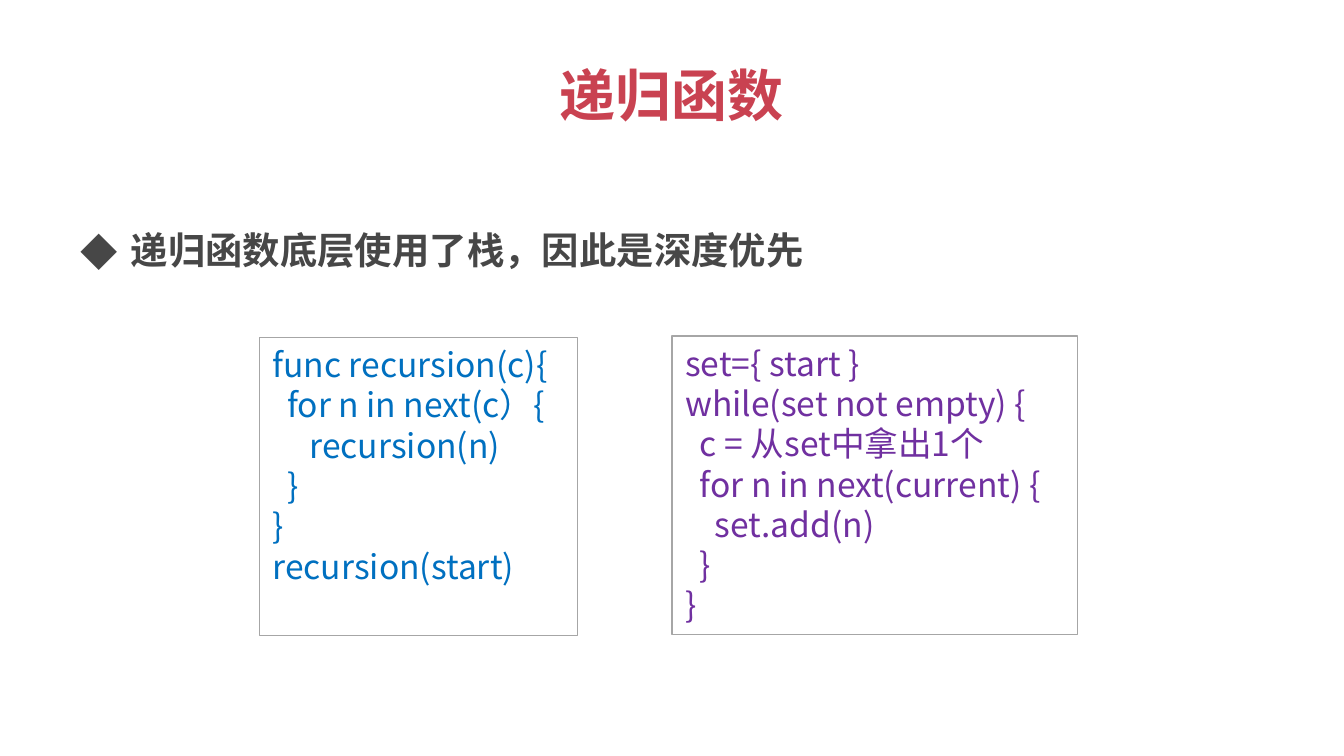
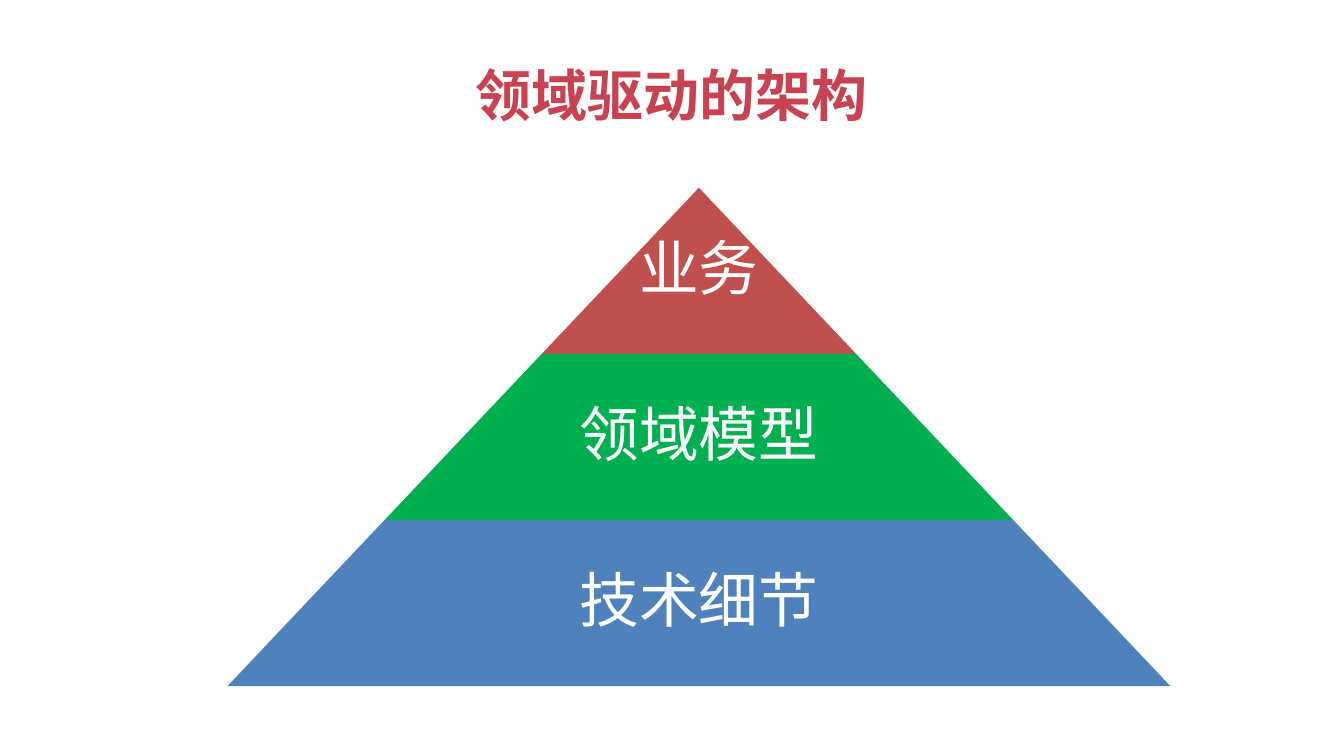
from dataclasses import dataclass

from lxml import etree
from pptx import Presentation, util as u
from pptx.dml.color import RGBColor
from pptx.enum import shapes, text
from pptx.oxml.ns import qn


@dataclass(frozen=True)
class Theme:
    font: str = "Noto Sans CJK SC"
    tier_font: str = "Arial"
    title: str = "C94251"
    body: str = "474747"
    border: str = "A6A6A6"
    white: str = "FFFFFF"
    title_size: int = 30
    body_size: int = 20
    code_size: int = 18
    tier_size: int = 32


T = Theme()
WIDTH, HEIGHT = 25.4, 14.29
MARGIN = 1.27
CODE_SPACE = 0.14
CODE_HEIGHT = 5.64

RECURSION_TITLE = "递归函数"
RECURSION_POINT = "递归函数底层使用了栈，因此是深度优先"
CODE_BOXES = [
    dict(left=4.9, top=6.38, width=6.02, color="0070C0", lines=[
        (0, "func recursion(c){"),
        (2, "for n in next(c）{"),
        (5, "recursion(n)"),
        (2, "}"),
        (0, "}"),
        (0, "recursion(start)"),
    ]),
    dict(left=12.7, top=6.35, width=7.67, color="7030A0", lines=[
        (0, "set={ start }"),
        (0, "while(set not empty) {"),
        (2, "c = 从set中拿出1个"),
        (2, "for n in next(current) {"),
        (4, "set.add(n)"),
        (2, "}"),
        (0, "}"),
    ]),
]

PYRAMID_TITLE = "领域驱动的架构"
TIERS = [
    ("业务", "C0504D", 1),
    ("领域模型", "00B050", 0.65),
    ("技术细节", "4F81BD", 0.65),
]
PYRAMID_CENTER, PYRAMID_TOP = 13.21, 3.55
TIER_HEIGHT, TIER_STEP = 3.14, 5.94


def rgb(color):
    return RGBColor.from_string(color)


def write(p, content, size, color, font=T.font, bold=False, align="LEFT",
          spacing=None, before=None, after=None, indent=0, bullet=None):
    p.alignment = getattr(text.PP_ALIGN, align)
    p.line_spacing, p.space_before, p.space_after = spacing, before, after
    pPr = p._p.get_or_add_pPr()
    if indent:
        pPr.set("marL", str(u.Cm(indent)))
    if bullet:
        pPr.set("indent", str(-u.Cm(indent)))
        etree.SubElement(pPr, qn("a:buFont")).set("typeface", T.font)
        etree.SubElement(pPr, qn("a:buChar")).set("char", bullet)
    r = p.add_run()
    r.text = content
    r.font.name, r.font.size, r.font.bold = font, u.Pt(size), bold
    r.font.color.rgb = rgb(color)
    etree.SubElement(r._r.get_or_add_rPr(), qn("a:ea")).set("typeface", T.font)


def add_text(parent, box, content, anchor="TOP", inset=None, **style):
    tf = parent.add_textbox(*map(u.Cm, box)).text_frame
    tf.word_wrap = True
    tf.vertical_anchor = getattr(text.MSO_ANCHOR, anchor)
    if inset is not None:
        tf.margin_left = tf.margin_right = u.Cm(inset)
        tf.margin_top = tf.margin_bottom = u.Cm(inset)
    write(tf.paragraphs[0], content, **style)


def add_slide(prs, title):
    s = prs.slides.add_slide(prs.slide_layouts[6])
    add_text(s.shapes, (MARGIN, 0.58, WIDTH - 2 * MARGIN, 2.39), title,
             anchor="MIDDLE", size=T.title_size, color=T.title, bold=True,
             align="CENTER")
    return s


def add_code(s, left, top, width, color, lines):
    sp = s.shapes.add_shape(shapes.MSO_SHAPE.RECTANGLE,
                            *map(u.Cm, (left, top, width, CODE_HEIGHT)))
    sp.shadow.inherit = False
    sp.fill.background()
    sp.line.color.rgb = rgb(T.border)
    sp.line.width = u.Pt(0.75)
    tf = sp.text_frame
    tf.word_wrap = True
    tf.vertical_anchor = text.MSO_ANCHOR.TOP
    tf.margin_right = 0
    for i, (spaces, line) in enumerate(lines):
        p = tf.add_paragraph() if i else tf.paragraphs[0]
        write(p, line, T.code_size, color, indent=spaces * CODE_SPACE)


def add_pyramid(s):
    group = s.shapes.add_group_shape().shapes
    for i, (label, color, share) in enumerate(TIERS):
        width = TIER_STEP * (i + 1)
        top = PYRAMID_TOP + i * TIER_HEIGHT
        sp = group.add_shape(
            shapes.MSO_SHAPE.TRAPEZOID,
            *map(u.Cm, (PYRAMID_CENTER - width / 2, top, width, TIER_HEIGHT)))
        sp.adjustments[0] = TIER_STEP / 2 / TIER_HEIGHT
        sp.shadow.inherit = False
        sp.fill.solid()
        sp.fill.fore_color.rgb = rgb(color)
        sp.line.fill.background()
        label_width = width * share
        add_text(group, (PYRAMID_CENTER - label_width / 2, top, label_width,
                         TIER_HEIGHT), label, anchor="MIDDLE", inset=0.1,
                 size=T.tier_size, color=T.white, font=T.tier_font,
                 align="CENTER", spacing=0.9, after=u.Pt(11))


def main():
    prs = Presentation()
    prs.slide_width, prs.slide_height = u.Cm(WIDTH), u.Cm(HEIGHT)

    s = add_slide(prs, RECURSION_TITLE)
    add_text(s.shapes, (MARGIN, 3.33, WIDTH - 2 * MARGIN, 9.42),
             RECURSION_POINT, size=T.body_size, color=T.body, bold=True,
             spacing=2.0, before=u.Pt(4), indent=0.95, bullet="◆")
    for box in CODE_BOXES:
        add_code(s, **box)

    add_pyramid(add_slide(prs, PYRAMID_TITLE))
    prs.save("out.pptx")


if __name__ == "__main__":
    main()
